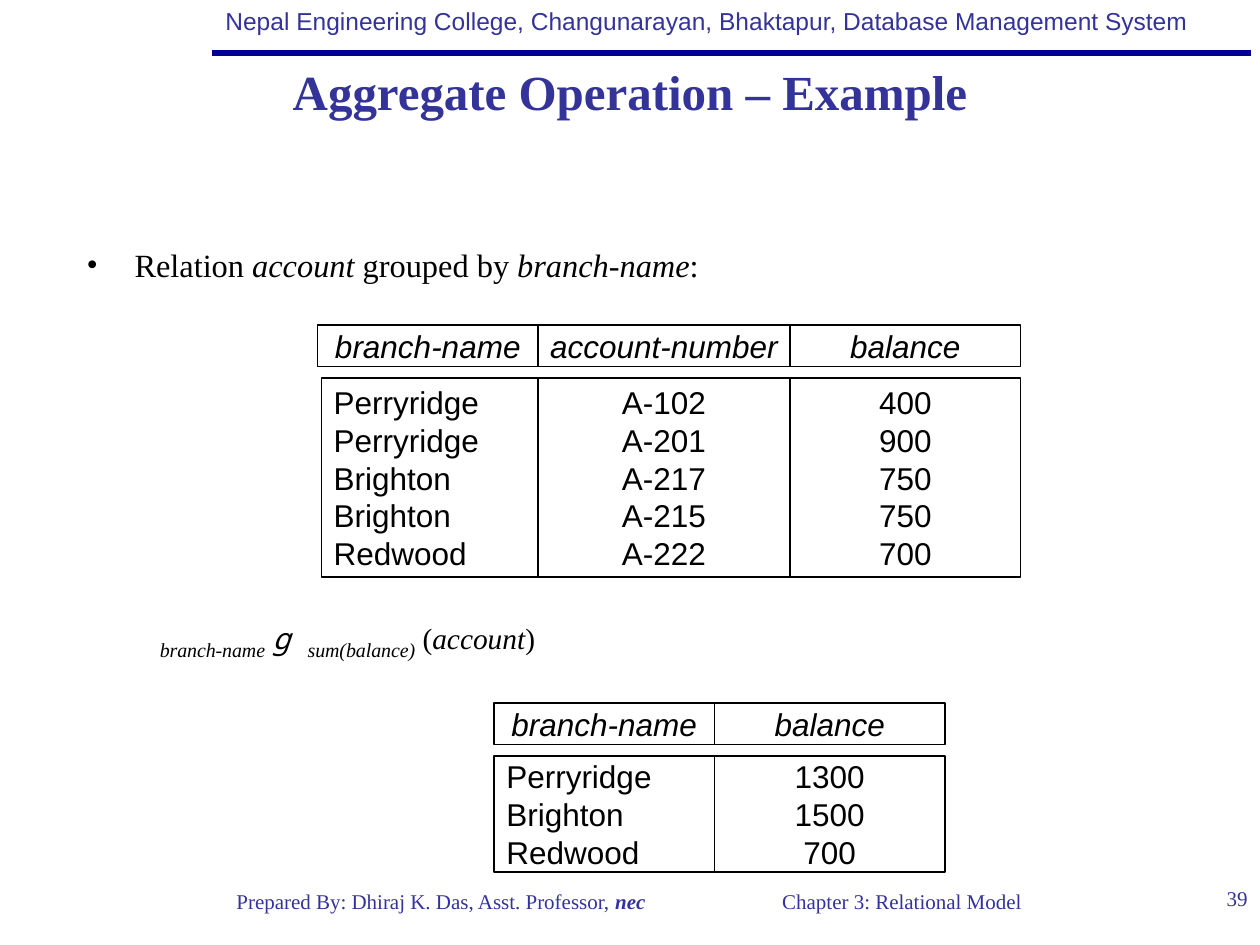
from dataclasses import dataclass
from lxml.etree import SubElement
from pptx import Presentation
from pptx.dml.color import RGBColor as RGB
from pptx.enum.shapes import MSO_CONNECTOR as Conn, MSO_SHAPE as Shape
from pptx.enum.text import MSO_ANCHOR as Anchor, PP_ALIGN as Align
from pptx.oxml.ns import qn
from pptx.util import Inches, Pt


@dataclass(frozen=True)
class Theme:
    """Colours, fonts and type sizes of the slide."""
    ink: RGB = RGB(0, 0, 0)
    paper: RGB = RGB(255, 255, 255)
    blue: RGB = RGB(0x33, 0x33, 0x99)
    rule: RGB = RGB(0, 0, 0x99)
    sans: str = "Arial"
    serif: str = "Times New Roman"
    mono: str = "Noto Sans Mono"
    title: float = 28
    body: float = 18.5
    cell: float = 18
    math: float = 16.8
    sub: float = 19.6
    head: float = 14
    foot: float = 12


T = Theme()


def style(font, color, **look):
    """Apply a dict of format values to a font."""
    font.color.rgb = color
    for key, val in look.items():
        setattr(font, key, Pt(val) if key == "size" else val)


def write(frame, lines, color, align=Align.LEFT, **look):
    """Fill a text frame; each line is a list of (text, changes) runs."""
    for i, line in enumerate(lines):
        par = frame.paragraphs[0] if i == 0 else frame.add_paragraph()
        par.alignment = align
        for text, diff in line:
            run = par.add_run()
            run.text = text
            diff = dict(diff)
            base = diff.pop("base", 0)
            style(run.font, color, **{**look, **diff})
            if base:
                run._r.get_or_add_rPr().set("baseline", str(base * 1000))


def label(slide, box, runs, color, wrap=True, anchor=Anchor.TOP, **look):
    """Place one line of text in a box and return its frame."""
    frame = slide.shapes.add_textbox(*map(Inches, box)).text_frame
    frame.word_wrap = wrap
    frame.vertical_anchor = anchor
    write(frame, [runs], color, **look)
    return frame


def cell(slide, box, texts, **look):
    """Draw an outlined rectangle holding a column of text lines."""
    rect = slide.shapes.add_shape(Shape.RECTANGLE, *map(Inches, box))
    rect.shadow.inherit = False
    rect.fill.solid()
    rect.fill.fore_color.rgb = T.paper
    rect.line.color.rgb = T.ink
    rect.line.width = Pt(0.75)
    rect.text_frame.word_wrap = False
    rect.text_frame.vertical_anchor = Anchor.MIDDLE
    write(rect.text_frame, [[(text, {})] for text in texts], T.ink,
          name=T.sans, size=T.cell, **look)


def relation(slide, box, cols, inset=0):
    """Draw header cells above body cells; cols hold (name, width, values)."""
    left, top, height = box
    head, step = 0.33, 0.42
    x = left
    for name, width, _ in cols:
        cell(slide, (x, top, width, head), [name], align=Align.CENTER, italic=True)
        x += width
    x = left
    for i, (_, width, vals) in enumerate(cols):
        shift, align = (0, Align.CENTER) if i else (inset, Align.LEFT)
        cell(slide, (x + shift, top + step, width, height - step), vals, align=align)
        x += width


def header(slide, box):
    """Place the college line with the rule below it."""
    left, top, width, height = box
    y = Inches(top + height)
    rule = slide.shapes.add_connector(Conn.STRAIGHT, Inches(left), y,
                                      Inches(left + width), y)
    rule.line.color.rgb = T.rule
    rule.line.width = Pt(3)
    SubElement(rule._element.spPr, qn("a:effectLst"))
    text = "Nepal Engineering College, Changunarayan, Bhaktapur, Database Management System"
    label(slide, (left + 0.01, top, 7.85, 0.34), [(text, {})], T.blue,
          wrap=False, name=T.sans, size=T.head)


def footer(slide, box):
    """Place author, chapter and page number along the foot."""
    left, top, width, height = box
    look = dict(name=T.serif, size=T.foot)
    author = [("Prepared By: Dhiraj K. Das, Asst. Professor, ", {}),
              ("nec", dict(bold=True, italic=True))]
    chapter = [("Chapter 3: Relational Model", {})]
    for x, runs in ((left, author), (left + 3.66, chapter)):
        label(slide, (x, top, 4.16, height), runs, T.blue, wrap=False,
              align=Align.CENTER, **look)
    label(slide, (left + width - 0.58, top - 0.02, 0.58, height), [("39", {})],
          T.blue, align=Align.RIGHT, **look)


def title(slide, box):
    """Place the centred slide title."""
    label(slide, box, [("Aggregate Operation – Example", {})], T.blue,
          anchor=Anchor.MIDDLE, align=Align.CENTER,
          name=T.serif, size=T.title, bold=True)


def bullet(slide, box):
    """Place the bulleted lead sentence."""
    slant = dict(italic=True)
    runs = [("Relation ", {}), ("account", slant), (" grouped by ", {}),
            ("branch-name", slant), (":", {})]
    frame = label(slide, box, runs, T.ink, name=T.serif, size=T.body)
    props = frame.paragraphs[0]._p.get_or_add_pPr()
    props.set("marL", str(Inches(0.38)))
    props.set("indent", str(-Inches(0.38)))
    SubElement(props, qn("a:buFont"), typeface=T.serif)
    SubElement(props, qn("a:buChar"), char="•")


def formula(slide, box):
    """Place the aggregate expression with its subscripts."""
    slant = dict(italic=True)
    low = dict(italic=True, size=T.sub, base=-25)
    runs = [("branch-name", low), (" ", {}), ("g ", dict(italic=True, name=T.mono)),
            ("sum(balance)", low), (" (", {}), ("account", slant), (")", {})]
    label(slide, box, runs, T.ink, name=T.serif, size=T.math)


def main():
    """Build the slide and save it."""
    deck = Presentation()
    deck.slide_width, deck.slide_height = Inches(10), Inches(7.5)
    slide = deck.slides.add_slide(deck.slide_layouts[6])
    header(slide, (1.68, 0, 8.25, 0.42))
    footer(slide, (1.42, 7, 8.58, 0.5))
    title(slide, (0, 0.43, 10, 0.58))
    bullet(slide, (0.59, 1.9, 8.73, 0.42))
    formula(slide, (1.17, 4.83, 7.69, 0.45))
    relation(slide, (2.52, 2.58, 2), [
        ("branch-name", 1.75, ["Perryridge", "Perryridge", "Brighton", "Brighton", "Redwood"]),
        ("account-number", 2, ["A-102", "A-201", "A-217", "A-215", "A-222"]),
        ("balance", 1.83, ["400", "900", "750", "750", "700"])], inset=0.03)
    relation(slide, (3.92, 5.58, 1.34), [
        ("branch-name", 1.75, ["Perryridge", "Brighton", "Redwood"]),
        ("balance", 1.83, ["1300", "1500", "700"])])
    deck.save("out.pptx")


if __name__ == "__main__":
    main()
